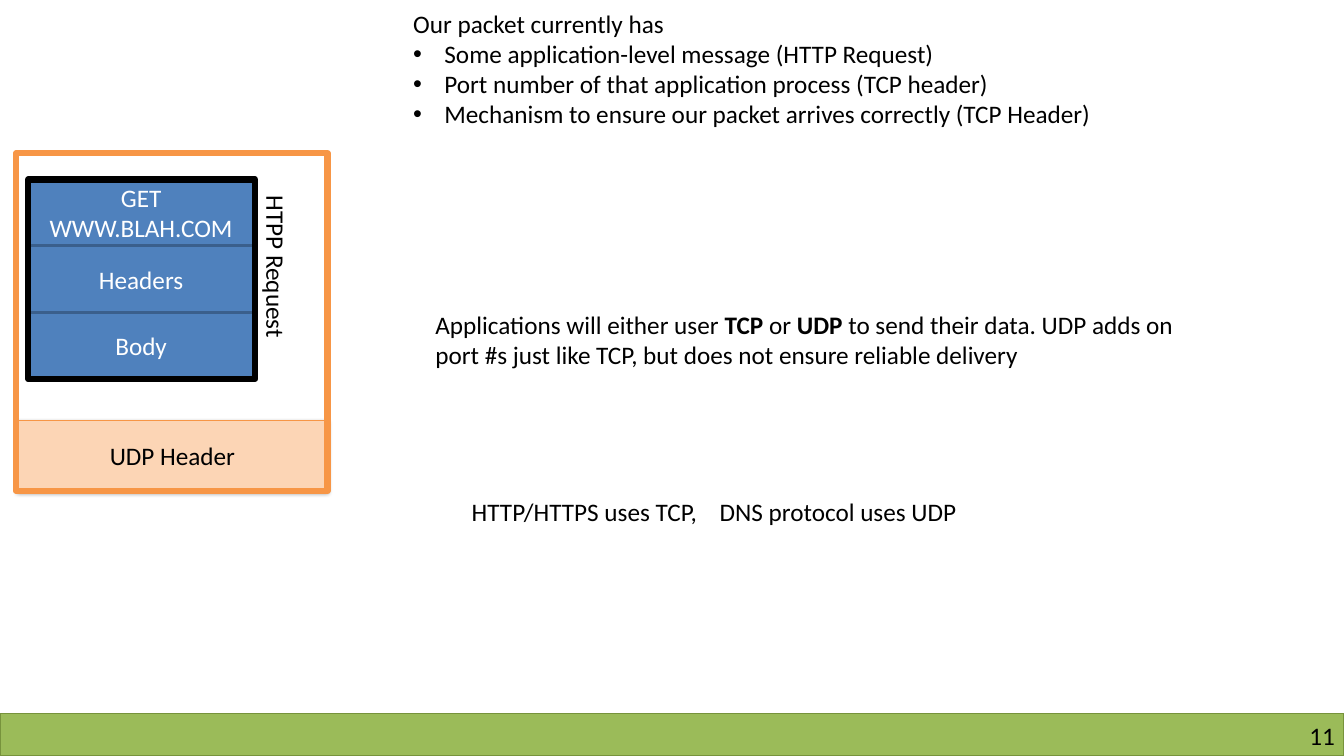
from lxml import etree
from pptx import Presentation, util as u
from pptx.dml.color import RGBColor
from pptx.enum import shapes, text
from pptx.oxml import ns

PX = 9144  # EMU in one px, 100 px to the inch
THEME = dict(font="Calibri", size=18, black="000000", white="FFFFFF",
             blue="4F81BD", navy="3A5F8C", orange="F79646", peach="FCD5B5",
             green="9BBB59", moss="77933C")

deck = Presentation()
deck.slide_width, deck.slide_height = 1333 * PX, 750 * PX
slide = deck.slides.add_slide(deck.slide_layouts[6])


def write(shape, lines, color="black", align=text.PP_ALIGN.LEFT):
    """Fill a shape with lines, each a list of (words, bold) runs."""
    frame = shape.text_frame
    frame.word_wrap = True
    for i, line in enumerate(lines):
        para = frame.add_paragraph() if i else frame.paragraphs[0]
        para.alignment = align
        for words, bold in line:
            run = para.add_run()
            run.text = words
            if bold:
                run.font.bold = True
    for para in frame.paragraphs:
        para.font.name = THEME["font"]
        para.font.size = u.Pt(THEME["size"])
        para.font.color.rgb = RGBColor.from_string(THEME[color])
    return frame


def block(box, fill, line, width, label="", color="black"):
    """Add a rectangle with an optional centred label."""
    rect = slide.shapes.add_shape(shapes.MSO_SHAPE.RECTANGLE,
                                  *(n * PX for n in box))
    rect.shadow.inherit = False
    if fill:
        rect.fill.solid()
        rect.fill.fore_color.rgb = RGBColor.from_string(THEME[fill])
    else:
        rect.fill.background()
    rect.line.color.rgb = RGBColor.from_string(THEME[line])
    rect.line.width = u.Pt(width)
    if label:
        frame = write(rect, [[(label, False)]], color, text.PP_ALIGN.CENTER)
        frame.vertical_anchor = text.MSO_ANCHOR.MIDDLE
    return rect


# Footer bar and slide number
block((0, 708, 1333, 42), "green", "moss", 1)
num = slide.shapes.add_textbox(1017 * PX, 715 * PX, 307 * PX, 30 * PX)
frame = write(num, [[("11", False)]], align=text.PP_ALIGN.RIGHT)
frame.margin_left = frame.margin_right = 0
frame.margin_top = frame.margin_bottom = 0

# HTTP message: three stacked parts in a black frame
for i, part in enumerate(("GET WWW.BLAH.COM", "Headers", "Body")):
    block((28, 178 + 66 * i, 224, 66), "blue", "navy", 2, part, "white")
block((28, 178, 225, 198), None, "black", 4.5)
side = slide.shapes.add_textbox(180 * PX, 258 * PX, 188 * PX, 40 * PX)
side.rotation = 90
write(side, [[("HTPP Request", False)]])

# UDP header with a soft shadow, and the packet frame
head = block((17, 417, 308, 70), "peach", "orange", 0.75, "UDP Header")
glow = head.element.spPr.find(ns.qn("a:effectLst"))
cast = etree.SubElement(glow, ns.qn("a:outerShdw"), blurRad=str(u.Pt(3.1)),
                        dist=str(u.Pt(1.6)), dir="5400000", rotWithShape="0")
tint = etree.SubElement(cast, ns.qn("a:srgbClr"), val=THEME["black"])
etree.SubElement(tint, ns.qn("a:alpha"), val="38000")
block((16, 152, 309, 335), None, "orange", 4.5)

# What the packet holds
facts = ("Our packet currently has",
         "Some application-level message (HTTP Request)",
         "Port number of that application process (TCP header)",
         "Mechanism to ensure our packet arrives correctly (TCP Header)")
notes = slide.shapes.add_textbox(400 * PX, 3 * PX, 767 * PX, 131 * PX)
frame = write(notes, [[(fact, False)] for fact in facts])
for para in frame.paragraphs[1:]:
    props = para._p.get_or_add_pPr()
    props.set("marL", str(31 * PX))
    props.set("indent", str(-31 * PX))
    mark = etree.Element(ns.qn("a:buChar"), char="•")
    face = etree.Element(ns.qn("a:buFont"), typeface="Arial")
    props.insert(0, mark)
    props.insert(0, face)

# TCP against UDP
choice = slide.shapes.add_textbox(422 * PX, 302 * PX, 759 * PX, 71 * PX)
write(choice, [[("Applications will either user ", False), ("TCP", True),
                (" or ", False), ("UDP", True),
                (" to send their data. UDP adds on port #s just like TCP, "
                 "but does not ensure reliable delivery", False)]])

# Which protocol uses which, set apart by a tab
usage = slide.shapes.add_textbox(458 * PX, 487 * PX, 599 * PX, 40 * PX)
frame = write(usage, [[("HTTP/HTTPS uses TCP,\tDNS protocol uses UDP", False)]])
props = frame.paragraphs[0]._p.get_or_add_pPr()
tabs = etree.Element(ns.qn("a:tabLst"))
etree.SubElement(tabs, ns.qn("a:tab"), pos=str(246 * PX), algn="l")
props.insert(0, tabs)

deck.save("out.pptx")
